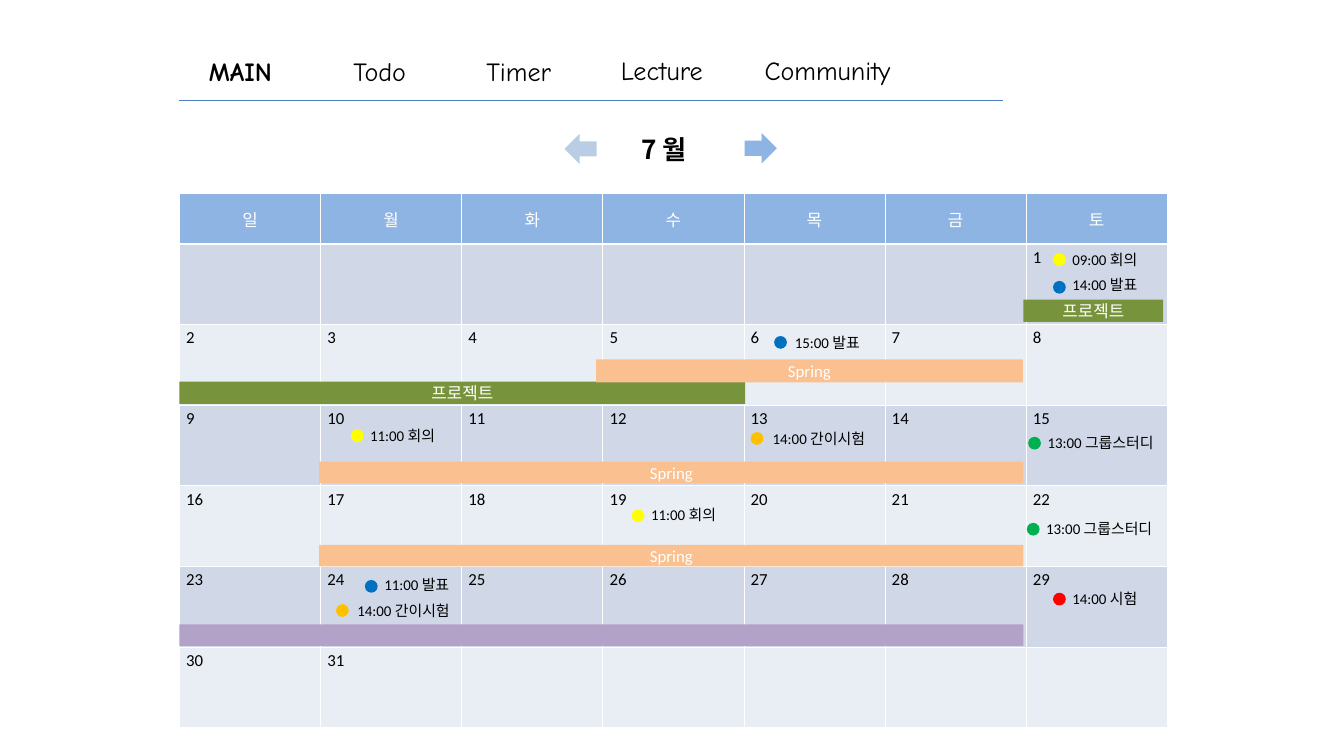
from dataclasses import dataclass

import pptx
import pptx.dml.color
import pptx.enum.shapes
import pptx.enum.text
import pptx.oxml
import pptx.oxml.ns
import pptx.util

Inches = pptx.util.Inches
SHAPES = pptx.enum.shapes.MSO_SHAPE
ALIGN = pptx.enum.text.PP_ALIGN
ANCHOR = pptx.enum.text.MSO_ANCHOR

COLORS = {
    "white": "FFFFFF", "black": "000000", "rule": "4B7EBC",
    "header": "8EB4E3", "odd week": "D0D8E8", "even week": "E9EDF4",
    "previous": "B9CDE5", "next": "8EB4E3",
    "project": "77933C", "spring": "FAC090", "vacation": "B3A2C7",
    "meeting": "FFFF00", "talk": "0070C0", "quiz": "FFC000",
    "exam": "FF0000", "study": "00B050",
}
KOREAN_FONT = "Noto Sans CJK KR"
BODY = {"name": "Calibri", "size": pptx.util.Pt(18)}
EVENT = {"name": "Calibri", "size": pptx.util.Pt(16)}
MENU = {"name": "Comic Neue", "size": pptx.util.Pt(28)}
MONTH = {"name": KOREAN_FONT, "size": pptx.util.Pt(28), "bold": True}

WEEKDAYS = ["일", "월", "화", "수", "목", "금", "토"]
FIRST_WEEKDAY, DAY_COUNT, WEEK_COUNT = 6, 31, 6
LEFT, TOP = 2.67, 2.88
DAY_WIDTH, HEADER_HEIGHT, WEEK_HEIGHT = 2.1, 0.75, 1.2
DOT_SIZE = 0.19


@dataclass
class Label:
    text: str
    left: float
    top: float
    width: float
    bold: bool = False


@dataclass
class Bar:
    kind: str
    text: str
    left: float
    top: float
    width: float
    height: float


@dataclass
class Event:
    kind: str
    text: str
    dot_left: float
    dot_top: float
    text_left: float
    text_top: float
    width: float


MENU_ITEMS = [
    Label("MAIN", 3.01, 0.77, 1.83, True),
    Label("Todo", 5.16, 0.77, 1.83),
    Label("Timer", 7.14, 0.77, 1.83),
    Label("Lecture", 9.14, 0.76, 3.05),
    Label("Community", 11.28, 0.76, 3.05),
]
BARS = [
    Bar("project", "프로젝트", 15.23, 4.46, 2.08, 0.33),
    Bar("project", "프로젝트", 2.67, 5.68, 8.42, 0.33),
    Bar("vacation", "", 2.67, 9.29, 12.56, 0.32),
    Bar("spring", "Spring", 4.75, 6.87, 10.48, 0.32),
    Bar("spring", "Spring", 4.75, 8.11, 10.48, 0.32),
    Bar("spring", "Spring", 8.87, 5.35, 6.35, 0.34),
]
EVENTS = [
    Event("meeting", "09:00 회의", 15.67, 3.77, 15.86, 3.68, 1.48),
    Event("talk", "14:00 발표", 15.67, 4.18, 15.86, 4.05, 1.83),
    Event("talk", "15:00 발표", 11.52, 5, 11.73, 4.91, 1.48),
    Event("meeting", "11:00 회의", 5.22, 6.39, 5.41, 6.3, 1.48),
    Event("quiz", "14:00 간이시험", 11.17, 6.43, 11.4, 6.34, 1.83),
    Event("study", "13:00 그룹스터디", 15.3, 6.5, 15.49, 6.41, 1.93),
    Event("meeting", "11:00 회의", 9.4, 7.58, 9.59, 7.48, 1.48),
    Event("study", "13:00 그룹스터디", 15.28, 7.78, 15.47, 7.68, 1.93),
    Event("talk", "11:00 발표", 5.43, 8.63, 5.62, 8.51, 1.83),
    Event("quiz", "14:00 간이시험", 5, 8.99, 5.22, 8.9, 1.83),
    Event("exam", "14:00 시험", 15.67, 8.82, 15.86, 8.72, 1.83),
]


def rgb(color: str) -> pptx.dml.color.RGBColor:
    return pptx.dml.color.RGBColor.from_string(COLORS[color])


def write(frame, text: str, style: dict, color: str = "black", align=ALIGN.LEFT) -> None:
    paragraph = frame.paragraphs[0]
    paragraph.alignment = align
    run = paragraph.add_run()
    run.text = text
    for name, value in style.items():
        setattr(run.font, name, value)
    run.font.color.rgb = rgb(color)
    east_asian = pptx.oxml.parse_xml(
        f'<a:ea {pptx.oxml.ns.nsdecls("a")} typeface="{KOREAN_FONT}"/>')
    run.font._element.append(east_asian)


def add_label(slide, label: Label, height: float, style: dict) -> None:
    box = slide.shapes.add_textbox(
        Inches(label.left), Inches(label.top), Inches(label.width), Inches(height))
    box.text_frame.word_wrap = True
    box.text_frame.auto_size = pptx.enum.text.MSO_AUTO_SIZE.SHAPE_TO_FIT_TEXT
    write(box.text_frame, label.text, style)


def add_filled(slide, preset, color: str, left: float, top: float,
               width: float, height: float):
    shape = slide.shapes.add_shape(
        preset, Inches(left), Inches(top), Inches(width), Inches(height))
    shape.shadow.inherit = False
    shape.fill.solid()
    shape.fill.fore_color.rgb = rgb(color)
    shape.line.fill.background()
    return shape


def add_bar(slide, bar: Bar) -> None:
    shape = add_filled(slide, SHAPES.RECTANGLE, bar.kind,
                       bar.left, bar.top, bar.width, bar.height)
    if bar.text:
        shape.text_frame.vertical_anchor = ANCHOR.MIDDLE
        write(shape.text_frame, bar.text, BODY, "white", ALIGN.CENTER)


def add_event(slide, event: Event) -> None:
    add_filled(slide, SHAPES.OVAL, event.kind,
               event.dot_left, event.dot_top, DOT_SIZE, DOT_SIZE)
    add_label(slide, Label(event.text, event.text_left, event.text_top, event.width),
              0.37, EVENT)


def format_cell(cell, color: str, bottom_points: int) -> None:
    properties = cell._tc.get_or_add_tcPr()
    for side, points in {"L": 1, "R": 1, "T": 1, "B": bottom_points}.items():
        properties.append(pptx.oxml.parse_xml(
            f'<a:ln{side} {pptx.oxml.ns.nsdecls("a")} w="{pptx.util.Pt(points)}">'
            f'<a:solidFill><a:srgbClr val="{COLORS["white"]}"/></a:solidFill></a:ln{side}>'))
    cell.fill.solid()
    cell.fill.fore_color.rgb = rgb(color)


def add_calendar(slide) -> None:
    columns = len(WEEKDAYS)
    table = slide.shapes.add_table(
        WEEK_COUNT + 1, columns, Inches(LEFT), Inches(TOP), Inches(columns * DAY_WIDTH),
        Inches(HEADER_HEIGHT + WEEK_COUNT * WEEK_HEIGHT)).table
    for column in table.columns:
        column.width = Inches(DAY_WIDTH)
    for week, row in enumerate(table.rows):
        row.height = Inches(WEEK_HEIGHT if week else HEADER_HEIGHT)
        for weekday, cell in enumerate(row.cells):
            if week == 0:
                format_cell(cell, "header", 3)
                cell.vertical_anchor = ANCHOR.MIDDLE
                write(cell.text_frame, WEEKDAYS[weekday], BODY, "white", ALIGN.CENTER)
                continue
            format_cell(cell, "odd week" if week % 2 else "even week", 1)
            day = (week - 1) * columns + weekday - FIRST_WEEKDAY + 1
            if 1 <= day <= DAY_COUNT:
                write(cell.text_frame, str(day), BODY)


def main() -> None:
    presentation = pptx.Presentation()
    presentation.slide_width, presentation.slide_height = Inches(20), Inches(11.25)
    slide = presentation.slides.add_slide(presentation.slide_layouts[6])

    # Menu and rule
    for item in MENU_ITEMS:
        add_label(slide, item, 0.57, {**MENU, "bold": item.bold})
    rule = slide.shapes.add_connector(
        pptx.enum.shapes.MSO_CONNECTOR.STRAIGHT,
        Inches(LEFT), Inches(1.5), Inches(14.92), Inches(1.5))
    rule.line.color.rgb = rgb("rule")
    rule.line.width = pptx.util.Pt(0.75)
    rule._element.spPr.append(
        pptx.oxml.parse_xml(f'<a:effectLst {pptx.oxml.ns.nsdecls("a")}/>'))

    # Month with its arrows
    add_label(slide, Label("7 월", 9.45, 1.94, 1.83), 0.57, MONTH)
    add_filled(slide, SHAPES.LEFT_ARROW, "previous", 8.4, 1.99, 0.48, 0.45)
    next_arrow = add_filled(slide, SHAPES.LEFT_ARROW, "next", 11.08, 1.98, 0.48, 0.45)
    next_arrow.rotation = 180

    # Calendar, bars over several days, and timed events
    add_calendar(slide)
    for bar in BARS:
        add_bar(slide, bar)
    for event in EVENTS:
        add_event(slide, event)

    presentation.save("out.pptx")


if __name__ == "__main__":
    main()
